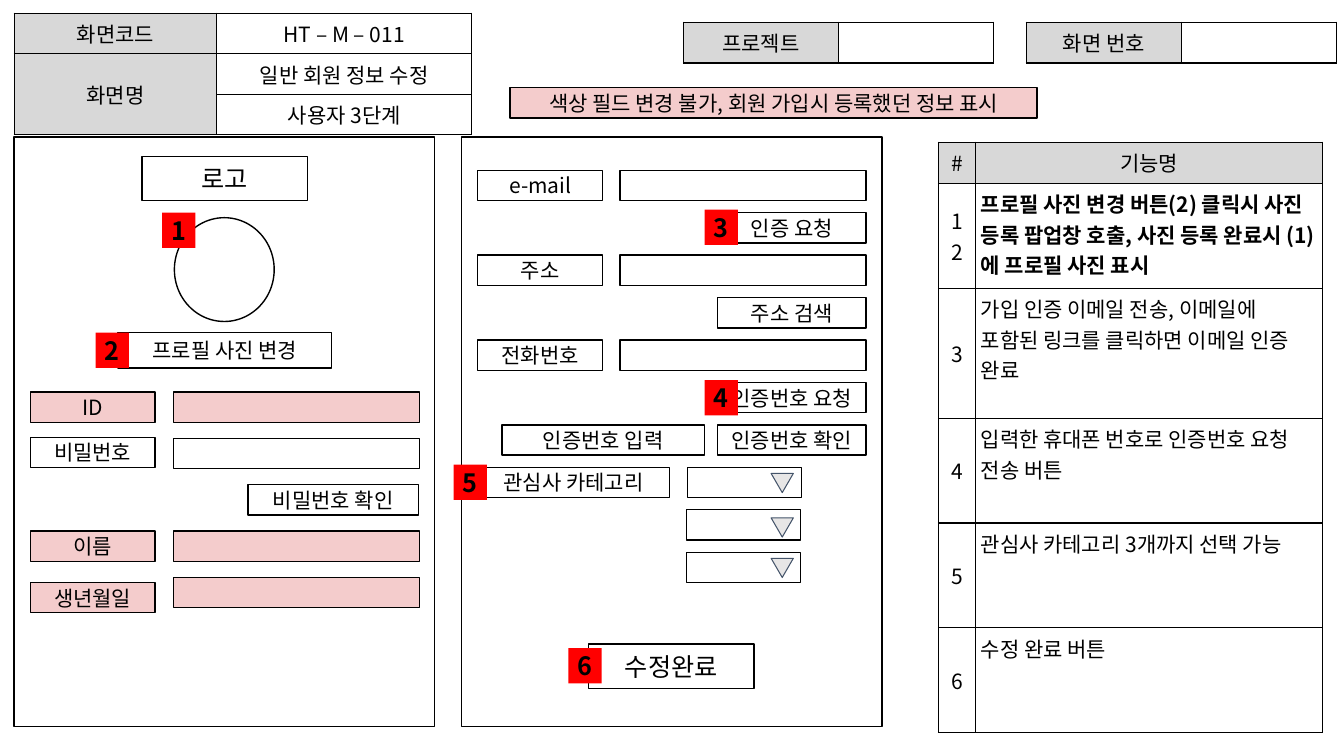
"""Build the wireframe slide for editing a member's profile."""
from dataclasses import dataclass

from lxml import etree
from pptx import Presentation
from pptx.dml.color import RGBColor
from pptx.enum.shapes import MSO_SHAPE
from pptx.enum.text import MSO_ANCHOR, PP_ALIGN
from pptx.oxml.ns import qn
from pptx.util import Inches, Pt

RECT, OVAL, WEDGE = MSO_SHAPE.RECTANGLE, MSO_SHAPE.OVAL, MSO_SHAPE.ISOSCELES_TRIANGLE
MID, TOP = MSO_ANCHOR.MIDDLE, MSO_ANCHOR.TOP
LEFT, MIDDLE = PP_ALIGN.LEFT, PP_ALIGN.CENTER
UNIT = Inches(0.1)
COLS, ROWS = 133.33, 75
PAD = 0.5
ROW = 3


@dataclass(frozen=True)
class Theme:
    font: str = "Noto Sans CJK KR"
    ink: str = "000000"
    paper: str = "FFFFFF"
    head: str = "D8D8D8"
    lock: str = "F4CCCC"
    badge: str = "FF0000"
    arrow: str = "E7E6E6"
    edge: str = "44546A"
    body: int = 15
    large: int = 18


LOOK = Theme()


def span(cells):
    return int(cells * UNIT)


def tint(fill, color):
    fill.solid()
    fill.fore_color.rgb = RGBColor.from_string(color)


def write(frame, text, size=LOOK.body, bold=False, align=MIDDLE):
    frame.text = text
    for line in frame.paragraphs:
        line.alignment = align
        for run in line.runs:
            font = run.font
            font.name, font.size, font.bold = LOOK.font, Pt(size), bold
            font.color.rgb = RGBColor.from_string(LOOK.ink)
            face = etree.SubElement(run._r.get_or_add_rPr(), qn("a:ea"))
            face.set("typeface", LOOK.font)


def shape(page, kind, place, fill=LOOK.paper, line=LOOK.ink, width=1):
    item = page.shapes.add_shape(kind, *map(span, place))
    item.shadow.inherit = False
    tint(item.fill, fill)
    if line:
        tint(item.line.fill, line)
        item.line.width = Pt(width)
    else:
        item.line.fill.background()
    return item


def label(page, place, text, fill=LOOK.paper, size=LOOK.body, bold=False,
          line=LOOK.ink):
    frame = shape(page, RECT, place, fill, line).text_frame
    frame.word_wrap = False
    frame.vertical_anchor = MID
    frame.margin_left = frame.margin_right = span(PAD)
    frame.margin_top = frame.margin_bottom = span(PAD)
    write(frame, text, size, bold)


def badge(page, left, top, text):
    label(page, (left, top, 3.3, 3.5), text, LOOK.badge, LOOK.large, True, None)


def select(page, left, top, drop):
    shape(page, RECT, (left, top, 11.3, ROW))
    wedge = shape(page, WEDGE, (76.5, top + drop, 2.2, 1.9), LOOK.arrow, LOOK.edge, 0.75)
    wedge.rotation = 180


def border(cell):
    props = cell._tc.get_or_add_tcPr()
    for side in ("lnL", "lnR", "lnT", "lnB"):
        line = etree.SubElement(props, qn("a:" + side), w=str(Pt(1)))
        fill = etree.SubElement(line, qn("a:solidFill"))
        etree.SubElement(fill, qn("a:srgbClr"), val=LOOK.ink)


def style(cell, text, fill, align=MIDDLE, anchor=MID, bold=False):
    border(cell)
    tint(cell.fill, fill)
    cell.margin_left = cell.margin_right = span(PAD)
    cell.margin_top = cell.margin_bottom = span(PAD)
    cell.vertical_anchor = anchor
    write(cell.text_frame, text, bold=bold, align=align)


def table(page, left, top, cols, rows):
    place = map(span, (left, top, sum(cols), sum(rows)))
    grid = page.shapes.add_table(len(rows), len(cols), *place).table
    grid.first_row = grid.horz_banding = False
    for col, width in zip(grid.columns, cols):
        col.width = span(width)
    for row, height in zip(grid.rows, rows):
        row.height = span(height)
    return grid


def header(page):
    grid = table(page, 1.4, 1.3, (20.1, 25.3), (4, 4, 4))
    names = ("화면코드", "화면명", "")
    values = ("HT – M – 011", "일반 회원 정보 수정", "사용자 3단계")
    for row, (name, value) in enumerate(zip(names, values)):
        style(grid.cell(row, 0), name, LOOK.head)
        style(grid.cell(row, 1), value, LOOK.paper)
    grid.cell(1, 0).merge(grid.cell(2, 0))
    for left, name in ((101.8, "화면 번호"), (67.8, "프로젝트")):
        pair = table(page, left, 2.2, (15.4, 15.4), (4,))
        style(pair.cell(0, 0), name, LOOK.head)
        style(pair.cell(0, 1), "", LOOK.paper)
    label(page, (50.6, 8.7, 52.3, ROW),
          "색상 필드 변경 불가, 회원 가입시 등록했던 정보 표시", LOOK.lock)


def guide(page):
    notes = (
        ("1\n2", "프로필 사진 변경 버튼(2) 클릭시 사진 등록 팝업창 호출, "
                 "사진 등록 완료시 (1)에 프로필 사진 표시"),
        ("3", "가입 인증 이메일 전송, 이메일에 포함된 링크를 클릭하면 이메일 인증 완료"),
        ("4", "입력한 휴대폰 번호로 인증번호 요청 전송 버튼"),
        ("5", "관심사 카테고리 3개까지 선택 가능"),
        ("6", "수정 완료 버튼"),
    )
    grid = table(page, 93.1, 14.1, (3.7, 34.4), (4.1, 10.4, 12.9, 10.4, 10.4, 10.4))
    style(grid.cell(0, 0), "#", LOOK.head)
    style(grid.cell(0, 1), "기능명", LOOK.head)
    for row, (mark, note) in enumerate(notes, 1):
        style(grid.cell(row, 0), mark, LOOK.paper)
        style(grid.cell(row, 1), note, LOOK.paper, LEFT, TOP, row == 1)


def profile(page):
    shape(page, RECT, (1.4, 13.6, 41.7, 58.5))
    label(page, (14.1, 15.5, 16.4, 4.4), "로고", size=LOOK.large)
    label(page, (11.7, 33, 21.2, 3.5), "프로필 사진 변경")
    shape(page, OVAL, (17.3, 21.6, 9.9, 10.3))
    fields = ((0, 0, "ID", LOOK.lock), (1, -0.1, "비밀번호", LOOK.paper),
              (3, 0, "이름", LOOK.lock), (4, 0.5, "생년월일", LOOK.lock))
    for step, shift, name, fill in fields:
        top = 38.9 + 4.6 * step
        label(page, (3, top + shift, 12.4, ROW), name, fill)
        shape(page, RECT, (17.2, top, 24.4, ROW), fill)
    label(page, (24.6, 48.1, 16.9, ROW), "비밀번호 확인")
    badge(page, 16.1, 21.1, "1")
    badge(page, 9.5, 33, "2")


def contact(page):
    shape(page, RECT, (45.8, 13.6, 41.7, 58.5))
    tops = [16.9 + 4.21 * step for step in range(10)]
    for top, name in zip(tops[::2], ("e-mail", "주소", "전화번호")):
        label(page, (47.4, top, 12.4, ROW), name)
        shape(page, RECT, (61.5, top, 24.4, ROW))
    names = ("인증 요청", "주소 검색", "인증번호 요청")
    for top, name in zip(tops[1::2] , names):
        label(page, (71.2, top, 14.7, ROW), name)
    label(page, (49.8, tops[6], 20.1, ROW), "인증번호 입력")
    label(page, (71.2, tops[6], 14.7, ROW), "인증번호 확인")
    label(page, (47.4, tops[7], 19, ROW), "관심사 카테고리")
    for left, top, drop in zip((68.2, 68.1, 68.1), tops[7:], (0.6, 0.8, 0.6)):
        select(page, left, top, drop)
    label(page, (58.4, 63.9, 16.4, 4.4), "수정완료", size=LOOK.large)
    for left, top, mark in ((69.9, 20.8, "3"), (69.9, 37.7, "4"),
                            (45, 46.1, "5"), (56.4, 64.3, "6")):
        badge(page, left, top, mark)


def main():
    deck = Presentation()
    deck.slide_width, deck.slide_height = span(COLS), span(ROWS)
    page = deck.slides.add_slide(deck.slide_layouts[6])
    header(page)
    guide(page)
    profile(page)
    contact(page)
    deck.save("out.pptx")


if __name__ == "__main__":
    main()
